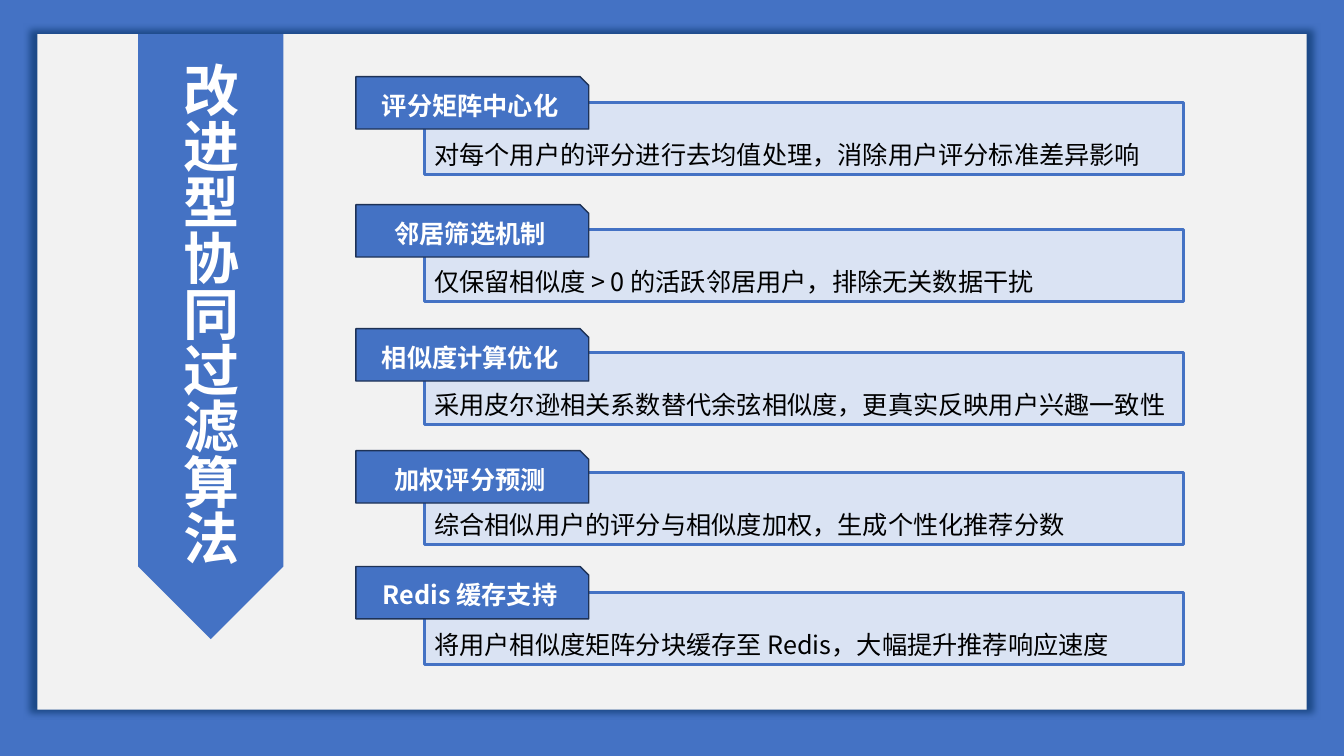
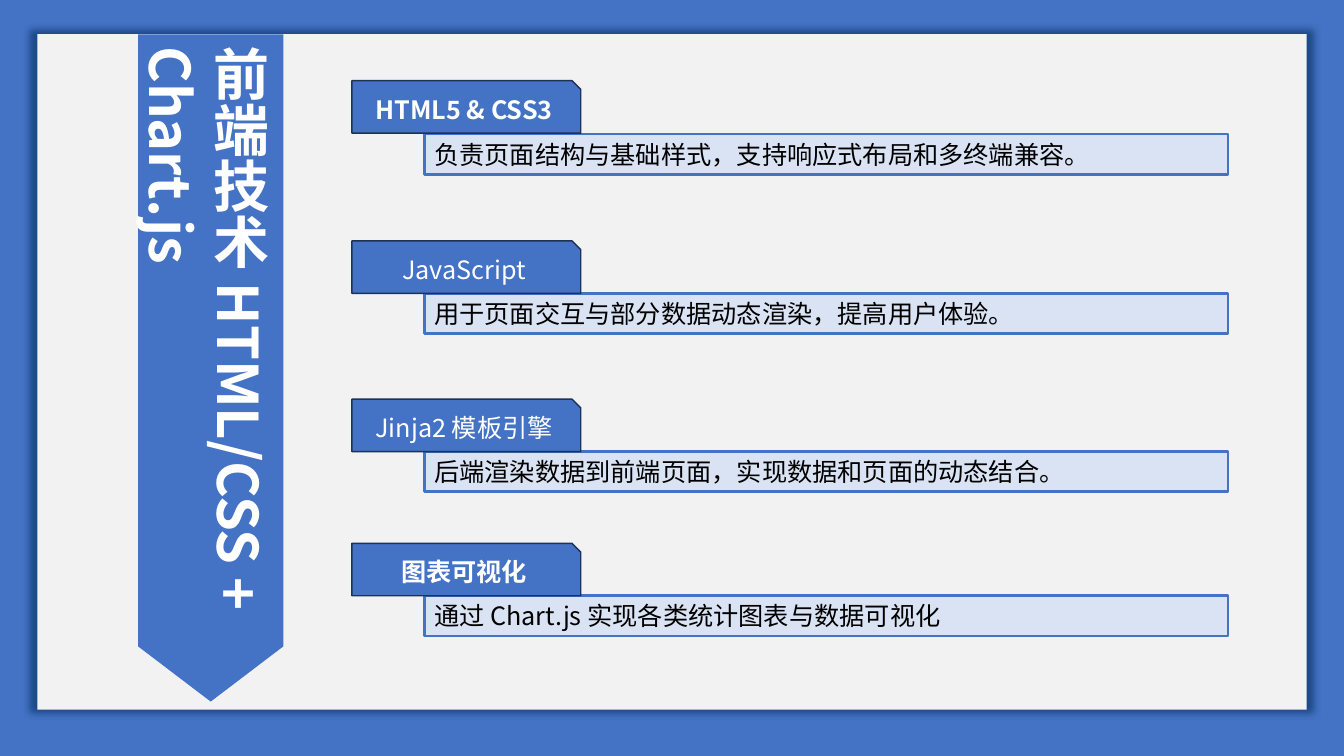
import pptx
import pptx.util
import pptx.dml.color
import pptx.enum.shapes
import pptx.enum.text
import pptx.oxml
import pptx.oxml.ns

Inches, Pt = pptx.util.Inches, pptx.util.Pt
SHAPE = pptx.enum.shapes.MSO_SHAPE
ALIGN = pptx.enum.text.PP_ALIGN
ANCHOR = pptx.enum.text.MSO_ANCHOR
qn = pptx.oxml.ns.qn

FONT = "Noto Sans CJK SC"
COLORS = {"blue": "4472C4", "panel": "F2F2F2", "pale": "DAE3F3", "edge": "1E3256",
          "shadow": "1C4987", "white": "FFFFFF", "black": "000000"}
PANEL = (0.37, 0.34, 12.59, 6.7)
RIBBON_LEFT, RIBBON_WIDTH = 1.37, 1.44
TAB_HEIGHT, BOX_LEFT = 0.52, 4.21

# Each row: tab top, box top, tab label, label is bold, description
SLIDES = [
    {"title": "改进型协同过滤算法", "title_at": (1.63, 0.57, 0.88, 5.36),
     "ribbon": (6, 0.5), "tab": (3.53, 2.31), "box": (7.53, 0.71),
     "rows": [
         (0.76, 1.02, "评分矩阵中心化", True, "对每个用户的评分进行去均值处理，消除用户评分标准差异影响"),
         (2.03, 2.28, "邻居筛选机制", True, "仅保留相似度 > 0 的活跃邻居用户，排除无关数据干扰"),
         (3.26, 3.5, "相似度计算优化", True, "采用皮尔逊相关系数替代余弦相似度，更真实反映用户兴趣一致性"),
         (4.47, 4.69, "加权评分预测", True, "综合相似用户的评分与相似度加权，生成个性化推荐分数"),
         (5.62, 5.88, "Redis 缓存支持", True, "将用户相似度矩阵分块缓存至 Redis，大幅提升推荐响应速度"),
     ]},
    {"title": "前端技术 HTML/CSS + Chart.js", "title_at": (1.26, 0.41, 1.55, 7.34),
     "ribbon": (6.62, 0.38), "tab": (3.49, 2.27), "box": (7.97, 0.4),
     "rows": [
         (0.8, 1.33, "HTML5 & CSS3", True, "负责页面结构与基础样式，支持响应式布局和多终端兼容。"),
         (2.39, 2.91, "JavaScript", False, "用于页面交互与部分数据动态渲染，提高用户体验。"),
         (3.96, 4.48, "Jinja2 模板引擎", False, "后端渲染数据到前端页面，实现数据和页面的动态结合。"),
         (5.39, 5.91, "图表可视化", True, "通过 Chart.js 实现各类统计图表与数据可视化"),
     ]},
]


def rgb(name):
    return pptx.dml.color.RGBColor.from_string(COLORS[name])


def add_shape(slide, kind, at, fill, line=None, line_width=1):
    sp = slide.shapes.add_shape(kind, *map(Inches, at))
    sp.shadow.inherit = False
    sp.fill.solid()
    sp.fill.fore_color.rgb = rgb(fill)
    if line:
        sp.line.color.rgb = rgb(line)
        sp.line.width = Pt(line_width)
    else:
        sp.line.fill.background()
    return sp


def write(sp, text, size=18, color="black", bold=False, align=ALIGN.LEFT, anchor=ANCHOR.MIDDLE):
    tf = sp.text_frame
    tf.word_wrap = True
    tf.auto_size = pptx.enum.text.MSO_AUTO_SIZE.NONE
    tf.vertical_anchor = anchor
    p = tf.paragraphs[0]
    p.alignment = align
    p.line_spacing = 1.0
    r = p.add_run()
    r.text = text
    r.font.size = Pt(size)
    r.font.bold = bold
    r.font.color.rgb = rgb(color)
    r.font.name = FONT
    ea = r.font._element.makeelement(qn("a:ea"), {"typeface": FONT})
    r.font._element.find(qn("a:latin")).addnext(ea)


def send_to_back(sp, shapes):
    """Make sp the rearmost of shapes, which may belong to another page."""
    shapes.element.insert(2, sp.element)


def set_up_master(master, slide):
    """Give the master its background and the glowing panel, drawn by way of slide."""
    master.background.fill.solid()
    master.background.fill.fore_color.rgb = rgb("blue")
    panel = add_shape(slide, SHAPE.RECTANGLE, PANEL, "panel")
    effects = panel.element.spPr.find(qn("a:effectLst"))
    effects.append(pptx.oxml.parse_xml(
        f'<a:outerShdw {pptx.oxml.ns.nsdecls("a")} blurRad="{Pt(5)}" sx="101000" sy="101000" '
        f'algn="ctr" rotWithShape="0"><a:srgbClr val="{COLORS["shadow"]}"/></a:outerShdw>'))
    send_to_back(panel, master.shapes)


def add_ribbon(slide, length, point):
    """Draw the downward pennant from the panel's top edge."""
    left = RIBBON_LEFT + (RIBBON_WIDTH - length) / 2
    top = PANEL[1] + (length - RIBBON_WIDTH) / 2
    sp = add_shape(slide, SHAPE.PENTAGON, (left, top, length, RIBBON_WIDTH), "blue")
    sp.rotation = 90
    sp.adjustments[0] = point
    send_to_back(sp, slide.shapes)


def add_title(slide, text, at):
    title = slide.shapes.title
    title.left, title.top, title.width, title.height = map(Inches, at)
    write(title, text, size=40, color="white", bold=True, anchor=ANCHOR.TOP)
    title.text_frame._txBody.bodyPr.set("vert", "eaVert")


def add_row(slide, row, tab, box):
    tab_top, box_top, label, bold, description = row
    sp = add_shape(slide, SHAPE.RECTANGLE, (BOX_LEFT, box_top, *box), "pale", "blue", 2)
    write(sp, description, anchor=ANCHOR.BOTTOM)
    tab_left, tab_width = tab
    sp = add_shape(slide, SHAPE.SNIP_1_RECTANGLE,
                   (tab_left, tab_top, tab_width, TAB_HEIGHT), "blue", "edge")
    write(sp, label, color="white", bold=bold, align=ALIGN.CENTER)


def main():
    prs = pptx.Presentation()
    prs.slide_width, prs.slide_height = Inches(13.33), Inches(7.5)
    title_only = prs.slide_layouts[5]
    slides = [prs.slides.add_slide(title_only) for _ in SLIDES]
    set_up_master(prs.slide_master, slides[0])
    for slide, content in zip(slides, SLIDES):
        add_ribbon(slide, *content["ribbon"])
        add_title(slide, content["title"], content["title_at"])
        for row in content["rows"]:
            add_row(slide, row, content["tab"], content["box"])
    prs.save("out.pptx")


if __name__ == "__main__":
    main()
